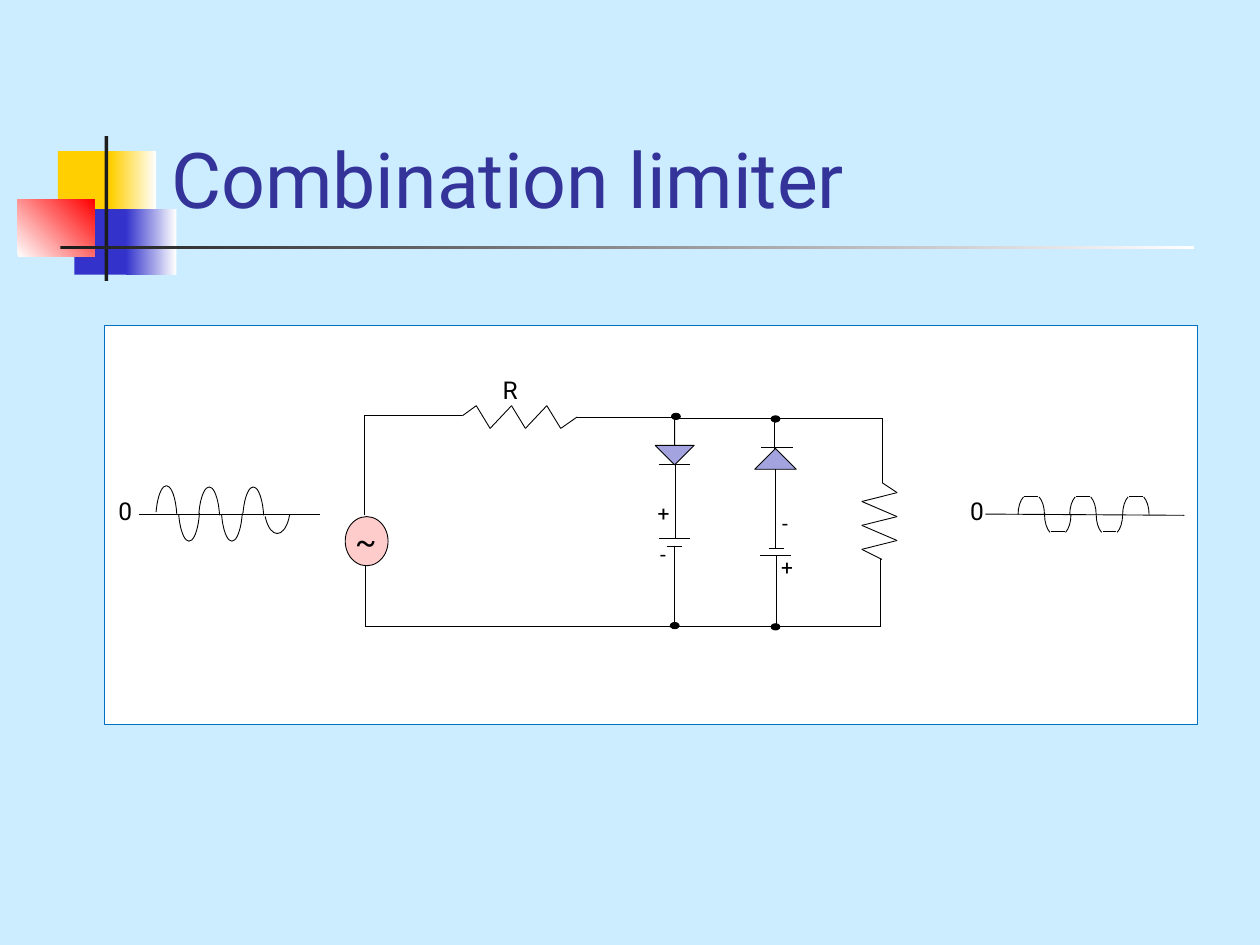
from itertools import pairwise
from pptx import Presentation
from pptx.dml.color import RGBColor as RGB
from pptx.enum.shapes import MSO_CONNECTOR as LINK, MSO_SHAPE as SHAPE
from pptx.enum.text import MSO_ANCHOR as ANCHOR, MSO_AUTO_SIZE as FIT, PP_ALIGN as ALIGN
from pptx.oxml.ns import qn
from pptx.util import Inches, Pt

PX = Inches(0.01)
FONT = "Roboto"
SKY = RGB(0xCC, 0xEC, 0xFF)
GOLD = RGB(0xFF, 0xCF, 0x01)
BLUE = RGB(0x33, 0x33, 0xCC)
NAVY = RGB(0x33, 0x33, 0x99)
RED = RGB(0xFF, 0x00, 0x00)
INK = RGB(0x1C, 0x1C, 0x1C)
EDGE = RGB(0x00, 0x70, 0xC0)
PINK = RGB(0xFF, 0xCC, 0xCC)
LILAC = RGB(0xA3, 0xA3, 0xE0)
BLACK = RGB(0, 0, 0)
WHITE = RGB(0xFF, 0xFF, 0xFF)

deck = Presentation()
deck.slide_width, deck.slide_height = 1000 * PX, 750 * PX
slide = deck.slides.add_slide(deck.slide_layouts[5])
slide.background.fill.solid()
slide.background.fill.fore_color.rgb = SKY
shapes = slide.shapes


def draw(kind, box, fill=None, edge=None, width=0.5, adj=(), flip="", turn=0):
    item = shapes.add_shape(kind, *[n * PX for n in box])
    item.shadow.inherit = False
    if fill is None:
        item.fill.background()
    else:
        item.fill.solid()
        item.fill.fore_color.rgb = fill
    if edge is None:
        item.line.fill.background()
    else:
        item.line.color.rgb = edge
        item.line.width = Pt(width)
    for i, value in enumerate(adj):
        item.adjustments[i] = value
    for axis in flip:
        item.element.spPr.find(qn("a:xfrm")).set("flip" + axis, "1")
    item.rotation = turn
    return item


def wire(*points):
    for start, end in pairwise(points):
        link = shapes.add_connector(LINK.STRAIGHT, *[n * PX for n in start + end])
        link.line.color.rgb = BLACK
        link.line.width = Pt(0.5)
        props = link.element.spPr
        props.append(props.makeelement(qn("a:effectLst"), {}))


for box, first, last, angle in [
    ((46, 120, 48, 52), GOLD, None, 0),
    ((88, 120, 36, 52), GOLD, WHITE, 0),
    ((59, 166, 46, 52), BLUE, None, 0),
    ((100, 166, 40, 52), BLUE, WHITE, 0),
    ((14, 158, 61, 46), WHITE, RED, 45),
    ((83, 108, 3, 115), INK, None, 0),
    ((48, 195, 900, 3), INK, WHITE, 0),
]:
    block = draw(SHAPE.RECTANGLE, box, first)
    if last is not None:
        block.fill.gradient()
        block.fill.gradient_angle = angle
        for stop, tone in zip(block.fill.gradient_stops, (first, last)):
            stop.color.rgb = tone

title = shapes.title
title.left, title.top, title.width, title.height = [n * PX for n in (126, 23, 852, 160)]
frame = title.text_frame
frame.text = "Combination limiter"
frame.auto_size = FIT.NONE
frame.vertical_anchor = ANCHOR.BOTTOM
para = frame.paragraphs[0]
para.alignment = ALIGN.LEFT
para.font.name, para.font.size = FONT, Pt(44)
para.font.color.rgb = NAVY
title.element.getparent().append(title.element)

draw(SHAPE.RECTANGLE, (83, 258, 867, 317), WHITE, EDGE, 0.25)

wire((110, 408), (254, 408))
bend = (184.94, 27.31)
for x, y in [(103, 406), (137, 407), (172, 407)]:
    draw(SHAPE.ARC, (x, y, 58, 17), edge=BLACK, adj=bend, flip="V", turn=270)
for box in [(121, 392, 58, 17), (155, 392, 58, 17), (197, 390, 46, 21)]:
    draw(SHAPE.ARC, box, edge=BLACK, adj=bend, turn=90)

wire((782, 408), (940, 409))
for i in range(5):
    x = round(808 + 20.7 * i)
    side, level = ("V", 422) if i % 2 else ("", 394)
    draw(SHAPE.ARC, (x + 3, 392, 18, 33), edge=BLACK, adj=(173.06, 0), flip=side)
    draw(SHAPE.ARC, (x, 392, 18, 33), edge=BLACK, adj=(173.06, 0), flip=side + "H")
    wire((x + 5, level), (x + 16, level))

wire((289, 409), (289, 330), (367, 330), (378, 322), (389, 340), (406, 322),
     (417, 340), (434, 322), (445, 340), (458, 331), (533, 331))
wire((537, 332), (614, 332))
wire((617, 332), (700, 332), (700, 383), (712, 391), (684, 398), (712, 410),
     (684, 417), (712, 429), (684, 436), (700, 444))
wire((699, 444), (699, 497), (614, 497), (290, 497), (290, 448))

draw(SHAPE.OVAL, (274, 410, 34, 39), PINK, BLACK)
draw(SHAPE.DOWN_ARROW, (520, 331, 31, 38), LILAC, BLACK, adj=(0, 0.5))
draw(SHAPE.DOWN_ARROW, (599, 356, 33, 79), LILAC, BLACK, adj=(0, 0.5), flip="V")
wire((536, 368), (536, 427))
wire((535, 434), (535, 496))
wire((615, 356), (615, 335))
wire((616, 500), (616, 441))
for x, y, size in [(523, 369, 25), (523, 427, 25), (529, 434, 12),
                   (604, 355, 25), (603, 441, 25), (610, 435, 12)]:
    wire((x, y), (x + size, y))
for x, y in [(533, 328), (532, 494), (612, 330), (612, 495)]:
    draw(SHAPE.OVAL, (x, y, 7, 5), BLACK, BLACK)

for text, box, size in [
    ("0", (84, 389, 31, 34), 14),
    ("R", (389, 293, 32, 34), 14),
    ("0", (760, 389, 31, 34), 14),
    ("+", (512, 392, 32, 30), 12),
    ("-", (514, 425, 26, 30), 12),
    ("-", (611, 400, 26, 30), 12),
    ("+", (610, 435, 32, 30), 12),
    ("~", (272, 409, 29, 30), 18),
]:
    label = shapes.add_textbox(*[n * PX for n in box]).text_frame
    label.text = text
    label.word_wrap = text == "~"
    label.auto_size = FIT.SHAPE_TO_FIT_TEXT
    para = label.paragraphs[0]
    para.font.name, para.font.size = FONT, Pt(size)
    para.font.color.rgb = BLACK

deck.save("out.pptx")
